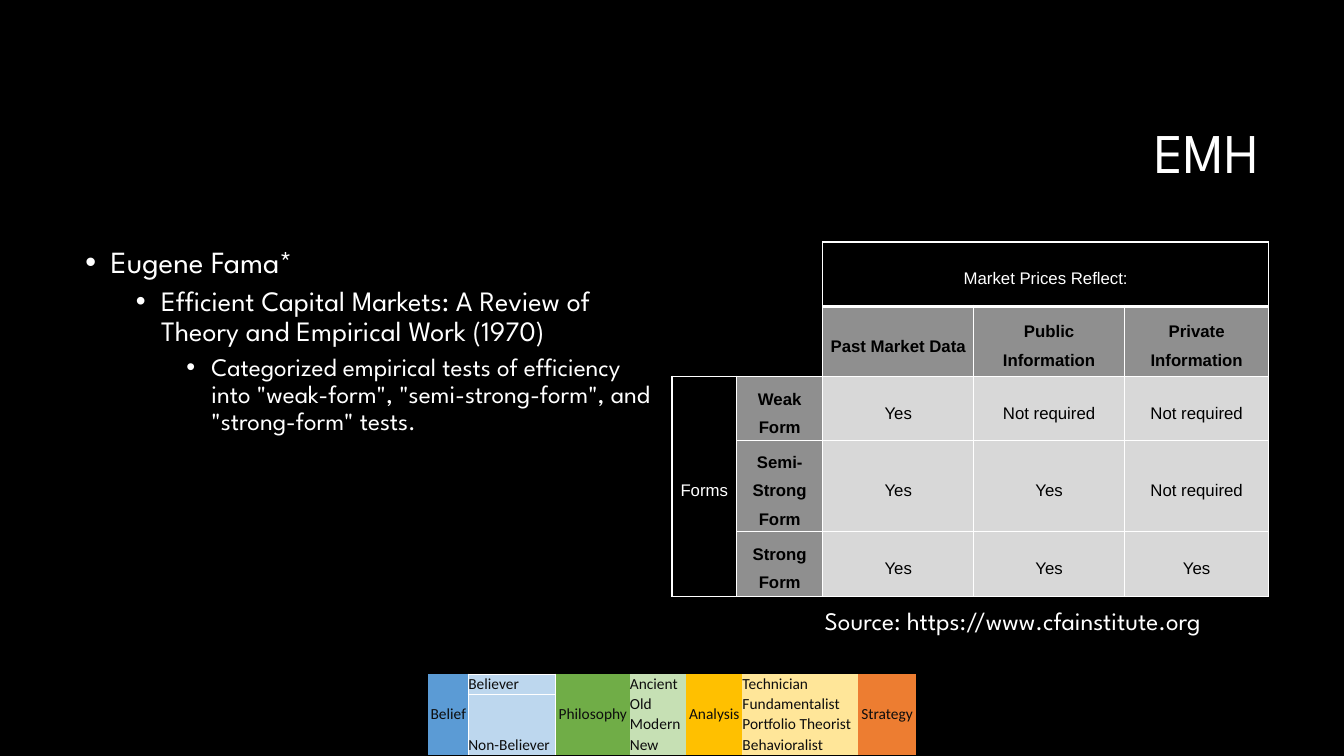
import pptx
import pptx.dml.color
import pptx.enum.text
import pptx.oxml.ns
import pptx.util
from lxml import etree

Pt = pptx.util.Pt
ALIGN = pptx.enum.text.PP_ALIGN
MIDDLE = pptx.enum.text.MSO_ANCHOR.MIDDLE
HEADING_FONT = "League Spartan"
COLORS = {
    "black": "000000", "white": "FFFFFF", "ink": "0D0D0D",
    "gray": "8F8F8F", "light gray": "D8D8D8",
    "blue": "5B9BD5", "light blue": "BDD7EE",
    "green": "70AD47", "light green": "C6E0B4",
    "gold": "FFC000", "light gold": "FFE699", "orange": "ED7D31",
}


def rgb(name):
    return pptx.dml.color.RGBColor.from_string(COLORS[name])


def add_xml(parent, tag, **attrs):
    return etree.SubElement(parent, pptx.oxml.ns.qn(tag), attrs)


class SlideBuilder:
    def __init__(self, prs):
        self.s = prs.slides.add_slide(prs.slide_layouts[5])
        self.s.background.fill.solid()
        self.s.background.fill.fore_color.rgb = rgb("black")

    def format(self, p, size, font=HEADING_FONT, color="white", bold=False,
               align=ALIGN.LEFT, spacing=1.0):
        p.alignment, p.line_spacing = align, spacing
        p.font.size, p.font.name, p.font.bold = Pt(size), font, bold
        p.font.color.rgb = rgb(color)

    def title(self, text, x, y, w, h):
        sp = self.s.shapes.title
        sp.left, sp.top, sp.width, sp.height = Pt(x), Pt(y), Pt(w), Pt(h)
        sp.text_frame.text = text
        sp.text_frame.vertical_anchor = MIDDLE
        self.format(sp.text_frame.paragraphs[0], 40, align=ALIGN.RIGHT, spacing=0.9)

    def text_box(self, x, y, w, h):
        tf = self.s.shapes.add_textbox(Pt(x), Pt(y), Pt(w), Pt(h)).text_frame
        tf.word_wrap = True
        return tf

    def text(self, text, x, y, w, h, size):
        p = self.text_box(x, y, w, h).paragraphs[0]
        p.text = text
        self.format(p, size)

    def outline(self, items, x, y, w, h):
        """Add one bulleted paragraph per (text, size), each a level deeper."""
        tf = self.text_box(x, y, w, h)
        for level, (text, size) in enumerate(items):
            p = tf.add_paragraph() if level else tf.paragraphs[0]
            p.text, p.level = text, level
            pPr = p._p.get_or_add_pPr()
            pPr.set("marL", str(Pt(18 + 36 * level)))
            pPr.set("indent", str(Pt(-18)))
            add_xml(add_xml(pPr, "a:buClr"), "a:srgbClr", val=COLORS["white"])
            add_xml(pPr, "a:buFont", typeface="Arial")
            add_xml(pPr, "a:buChar", char="•")
            if level:
                p.space_before = Pt(5)
            self.format(p, size, spacing=0.9)

    def borders(self, cell, widths):
        """Draw white borders; widths maps a side (L, R, T, B) to points."""
        tcPr = cell._tc.get_or_add_tcPr()
        for side in "LRTB":
            width = widths.get(side, 0)
            ln = add_xml(tcPr, "a:ln" + side, w=str(Pt(width)))
            if width:
                add_xml(add_xml(ln, "a:solidFill"), "a:srgbClr", val=COLORS["white"])
            else:
                add_xml(ln, "a:noFill")

    def table(self, rows, x, y, widths, heights, margin, merges, style):
        """Fill a table; style(r, c) gives fill, borders and text format."""
        table = self.s.shapes.add_table(
            len(rows), len(widths), Pt(x), Pt(y), Pt(sum(widths)), Pt(sum(heights))).table
        table.first_row = table.horz_banding = False
        for col, width in zip(table.columns, widths):
            col.width = Pt(width)
        for row, height in zip(table.rows, heights):
            row.height = Pt(height)
        for r, row in enumerate(rows):
            for c, text in enumerate(row):
                cell = table.cell(r, c)
                fill, sides, text_format = style(r, c)
                cell.margin_left = cell.margin_right = Pt(margin)
                cell.margin_top = cell.margin_bottom = 0
                cell.vertical_anchor = MIDDLE
                self.borders(cell, sides)
                cell.fill.solid()
                cell.fill.fore_color.rgb = rgb(fill)
                p = cell.text_frame.paragraphs[0]
                if text:
                    p.text = text
                else:
                    add_xml(p._p, "a:endParaRPr", sz=str(100 * text_format["size"]))
                self.format(p, **text_format)
        for first, last in merges:
            table.cell(*first).merge(table.cell(*last))


def forms_style(r, c):
    dark = r == 0 or c == 0 or (r < 2 and c < 2)
    label = not dark and (r == 1 or c == 1)
    fill = "black" if dark else "gray" if label else "light gray"
    if r < 2 and c < 2:
        sides = {"R": c, "B": r}
    else:
        sides = dict.fromkeys("LRTB", 1)
        if r == 0:
            sides["B"] = 3
        elif r == 1:
            sides["T"] = 3
    return fill, sides, dict(size=12, font="Arial", bold=label, align=ALIGN.CENTER,
                             color="white" if dark else "black", spacing=1.5)


def strip_style(r, c):
    fills = ["blue", "light blue", "green", "light green", "gold", "light gold", "orange"]
    sides = {0: {"R": 1}, 1: {"L": 1, "R": 1}, 2: {"L": 1}}.get(c, {})
    if c == 1 and r == 0:
        sides.update(T=1, B=1)
    elif c == 1 and r == 1:
        sides["T"] = 1
    align = ALIGN.LEFT if c % 2 else ALIGN.CENTER
    return fills[c], sides, dict(size=11, font="Calibri", color="ink", align=align)


def main():
    prs = pptx.Presentation()
    prs.slide_width, prs.slide_height = Pt(960), Pt(540)
    slide = SlideBuilder(prs)
    slide.title("EMH", 228, 60.5, 678.5, 101.5)
    slide.outline([
        ("Eugene Fama*", 22),
        ("Efficient Capital Markets: A Review of Theory and Empirical Work (1970)", 20),
        ('Categorized empirical tests of efficiency into "weak-form", '
         '"semi-strong-form", and "strong-form" tests.', 18),
    ], 54, 172.8, 426, 316.8)
    slide.table([
        ["", "", "Market Prices Reflect:", "", ""],
        ["", "", "Past Market Data", "Public Information", "Private Information"],
        ["Forms", "Weak Form", "Yes", "Not required", "Not required"],
        ["", "Semi-Strong Form", "Yes", "Yes", "Not required"],
        ["", "Strong Form", "Yes", "Yes", "Yes"],
    ], 480, 172.8, [46.2, 61.6, 107.8, 107.8, 103], [46.2, 49.8, 46.2, 50.4, 46.2], 5.2,
        [((0, 2), (0, 4)), ((2, 0), (4, 0))], forms_style)
    slide.text("Source: https://www.cfainstitute.org", 582, 429, 378, 51, 18)
    slide.table([
        ["Belief", "Believer", "Philosophy", "Ancient", "Analysis", "Technician", "Strategy"],
        ["", "", "", "Old", "", "Fundamentalist", ""],
        ["", "", "", "Modern", "", "Portfolio Theorist", ""],
        ["", "Non-Believer", "", "New", "", "Behavioralist", ""],
    ], 306, 481.6, [28.5, 62.5, 53, 40.2, 40.2, 82.8, 41], [14.4] * 4, 0,
        [((0, c), (3, c)) for c in range(0, 7, 2)], strip_style)
    prs.save("out.pptx")


if __name__ == "__main__":
    main()
